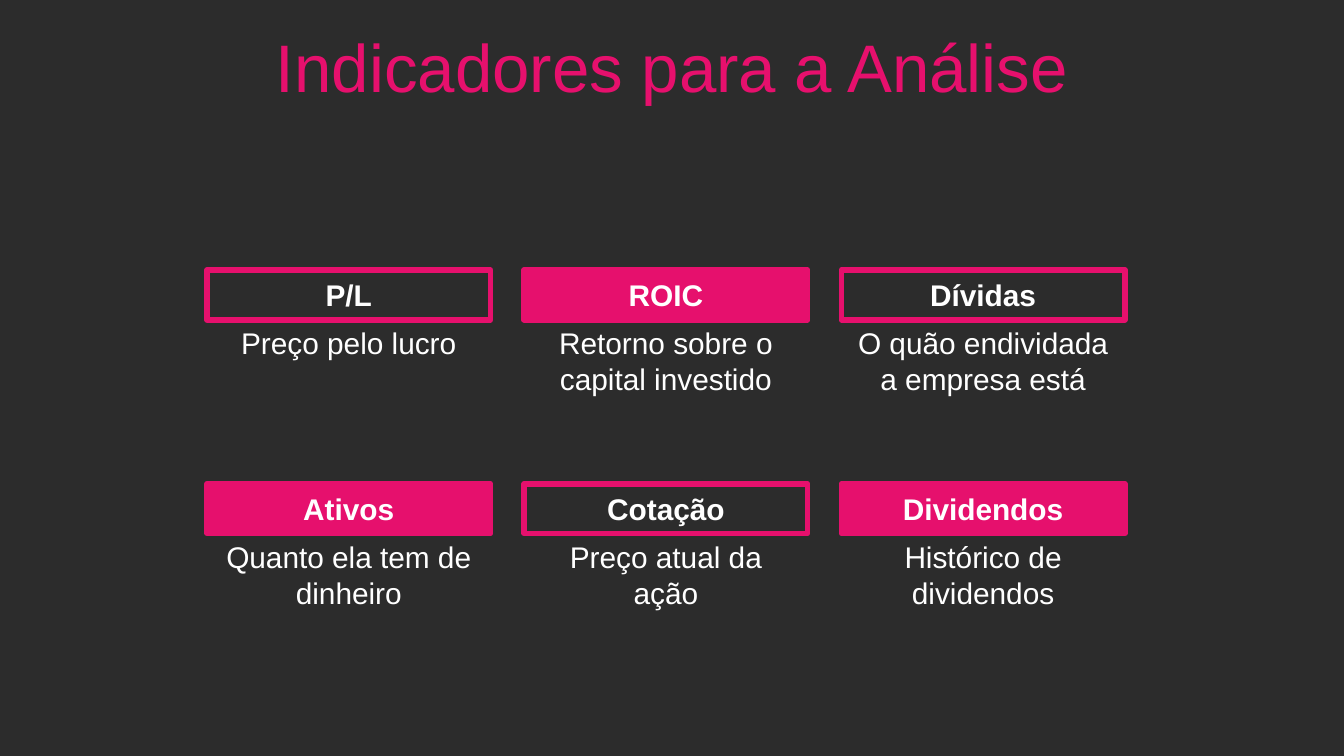
import pptx
import pptx.util
import pptx.dml.color
import pptx.enum.shapes
import pptx.enum.text

TITLE = "Indicadores para a Análise"
INDICATORS = [
    [("P/L", "Preço pelo lucro"),
     ("ROIC", "Retorno sobre o capital investido"),
     ("Dívidas", "O quão endividada a empresa está")],
    [("Ativos", "Quanto ela tem de dinheiro"),
     ("Cotação", "Preço atual da ação"),
     ("Dividendos", "Histórico de dividendos")],
]
DARK, PINK, WHITE = "2C2C2C", "E6106D", "FFFFFF"
FONT = "Arial"
SLIDE_W = 10
SLIDE_H = SLIDE_W * 9 / 16
LEFT, TOP = 1.54, 2.01
COL_STEP, ROW_STEP = 2.36, 1.59
CARD_W, LABEL_H, NOTE_H = 2.11, 0.37, 0.64
NOTE_DROP = 0.36

ANCHOR = pptx.enum.text.MSO_ANCHOR


def color(value):
    return pptx.dml.color.RGBColor.from_string(value)


def box(*lengths):
    return [pptx.util.Inches(n) for n in lengths]


def write(sp, text, size, hue, bold=False, anchor=ANCHOR.TOP):
    tf = sp.text_frame
    tf.word_wrap = True
    tf.vertical_anchor = anchor
    p = tf.paragraphs[0]
    p.text = text
    p.alignment = pptx.enum.text.PP_ALIGN.CENTER
    p.font.name = FONT
    p.font.size = pptx.util.Pt(size)
    p.font.bold = bold
    p.font.color.rgb = color(hue)


def add_card(s, left, top, label, note, filled):
    shapes = s.shapes.add_group_shape().shapes
    tb = shapes.add_textbox(*box(left, top + NOTE_DROP, CARD_W, NOTE_H))
    write(tb, note, 16, WHITE)
    sp = shapes.add_shape(pptx.enum.shapes.MSO_SHAPE.RECTANGLE,
                          *box(left, top, CARD_W, LABEL_H))
    sp.shadow.inherit = False
    if filled:
        sp.fill.solid()
        sp.fill.fore_color.rgb = color(PINK)
    else:
        sp.fill.background()
    sp.line.color.rgb = color(PINK)
    sp.line.width = pptx.util.Pt(3)
    write(sp, label, 16, WHITE, bold=True)


prs = pptx.Presentation()
prs.slide_width, prs.slide_height = box(SLIDE_W, SLIDE_H)
s = prs.slides.add_slide(prs.slide_layouts[6])
s.background.fill.solid()
s.background.fill.fore_color.rgb = color(DARK)

title = s.shapes.add_textbox(*box(0, 0.17, SLIDE_W, 0.63))
write(title, TITLE, 36, PINK, anchor=ANCHOR.MIDDLE)

for row, cards in enumerate(INDICATORS):
    for col, (label, note) in enumerate(cards):
        add_card(s, LEFT + col * COL_STEP, TOP + row * ROW_STEP,
                 label, note, filled=(row + col) % 2 == 1)

prs.save("out.pptx")
